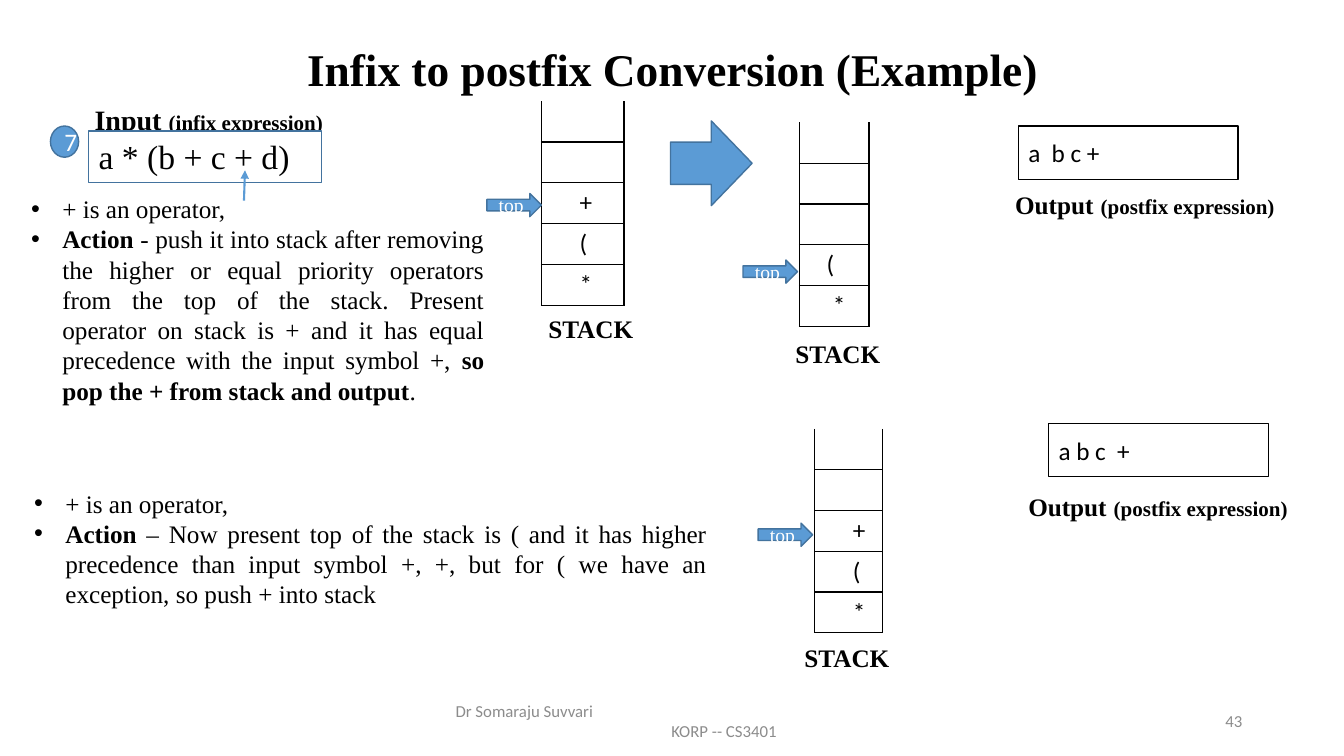
"""Build the infix to postfix conversion slide with its three stacks."""
from dataclasses import dataclass

from lxml.etree import SubElement as Sub
from pptx import Presentation
from pptx.dml.color import RGBColor as Rgb
from pptx.enum.shapes import MSO_CONNECTOR as Link, MSO_SHAPE as Kind
from pptx.enum.text import MSO_ANCHOR as Anchor, MSO_AUTO_SIZE as Auto, PP_ALIGN as Align
from pptx.oxml.ns import qn
from pptx.util import Inches, Pt

HUES = {"ink": "000000", "paper": "FFFFFF", "blue": "5B9BD5", "edge": "43739E", "gray": "8C8C8C"}
SERIF, SANS = "Times New Roman", "Calibri"
ROWS, TALL = 6, 2.43
SIDES = ("lnL", "lnR", "lnT", "lnB")


@dataclass
class Run:
    text: str
    size: float = 18
    bold: bool = False
    font: str = SERIF
    hue: str = "ink"


@dataclass
class Para:
    runs: list[Run]
    align: Align = Align.LEFT
    bullet: bool = False
    indent: float = 0


@dataclass
class Box:
    x: float
    y: float
    w: float
    h: float


@dataclass
class Stack:
    x: float
    y: float
    w: float
    marks: dict[str, float]
    tip: Box
    label: Box


@dataclass
class Result:
    box: Box
    text: str
    label: Box


def place(box: Box) -> tuple:
    """Return the box as four lengths."""
    return Inches(box.x), Inches(box.y), Inches(box.w), Inches(box.h)


def tint(hue: str) -> Rgb:
    """Return a named colour."""
    return Rgb.from_string(HUES[hue])


def style(run, look: Run) -> None:
    """Format one run."""
    run.font.size, run.font.bold, run.font.name = Pt(look.size), look.bold, look.font
    run.font.color.rgb = tint(look.hue)


def write(frame, paras: list[Para]) -> None:
    """Fill a text frame with formatted paragraphs."""
    for i, para in enumerate(paras):
        line = frame.paragraphs[0] if i == 0 else frame.add_paragraph()
        line.alignment = para.align
        for look in para.runs:
            run = line.add_run()
            run.text = look.text
            style(run, look)
        props = line._p.get_or_add_pPr()
        if para.indent:
            props.set("marL", str(Inches(para.indent)))
        if para.bullet:
            props.set("indent", str(-Inches(para.indent)))
            Sub(props, qn("a:buFont"), typeface="Arial")
            Sub(props, qn("a:buChar"), char="•")


def note(slide, box: Box, paras: list[Para], anchor: Anchor = Anchor.TOP) -> None:
    """Add a wrapped text box."""
    frame = slide.shapes.add_textbox(*place(box)).text_frame
    frame.word_wrap, frame.vertical_anchor = True, anchor
    write(frame, paras)


def form(slide, kind: Kind, box: Box, fill: str, edge: str, para: Para | None = None) -> None:
    """Add a filled preset shape."""
    shape = slide.shapes.add_shape(kind, *place(box))
    shape.shadow.inherit = False
    shape.fill.solid()
    shape.fill.fore_color.rgb = tint(fill)
    shape.line.color.rgb, shape.line.width = tint(edge), Pt(1)
    if para:
        shape.text_frame.vertical_anchor = Anchor.MIDDLE
        write(shape.text_frame, [para])


def border(cell, shown: tuple[str, ...]) -> None:
    """Draw the shown sides of a cell and clear the others."""
    props = cell._tc.get_or_add_tcPr()
    for i, side in enumerate(SIDES):
        line = props.makeelement(qn(f"a:{side}"), {"w": str(Pt(1))})
        props.insert(i, line)
        if side in shown:
            Sub(Sub(line, qn("a:solidFill")), qn("a:srgbClr"), val=HUES["ink"])
        else:
            Sub(line, qn("a:noFill"))


def pile(slide, stack: Stack) -> None:
    """Add an open-topped stack with its pointer and label."""
    box = Box(stack.x, stack.y, stack.w, TALL)
    table = slide.shapes.add_table(ROWS, 1, *place(box)).table
    table.first_row = table.horz_banding = False
    marks = list(stack.marks.items())
    for i in range(ROWS):
        table.rows[i].height = Inches(TALL / ROWS)
        cell = table.cell(i, 0)
        cell.fill.background()
        border(cell, () if i == 0 else ("lnL", "lnR", "lnB") if i == 1 else SIDES)
        spot = i - ROWS + len(marks)
        if spot >= 0:
            mark, pad = marks[spot]
            cell.margin_left = Inches(pad)
            write(cell.text_frame, [Para([Run(mark, font=SANS)])])
    form(slide, Kind.RIGHT_ARROW, stack.tip, "blue", "edge",
         Para([Run("top", 14, hue="paper")], Align.CENTER))
    note(slide, stack.label, [Para([Run("STACK", bold=True)])])


def steps(slide, box: Box, runs: list[Run]) -> None:
    """Add the bulleted account of one step."""
    note(slide, box, [Para([Run("+ is an operator,")], bullet=True, indent=0.31),
                      Para([Run("Action", bold=True), *runs], Align.JUSTIFY, True, 0.31)])


def head(slide) -> None:
    """Format the title."""
    title = slide.shapes.title
    title.left, title.top, title.width, title.height = place(Box(0.92, 0.4, 11.5, 0.63))
    frame = title.text_frame
    frame.text = "Infix to postfix Conversion (Example)"
    frame.auto_size, frame.vertical_anchor = Auto.NONE, Anchor.MIDDLE
    line = frame.paragraphs[0]
    line.alignment, line.line_spacing = Align.CENTER, 0.9
    style(line.runs[0], Run("", 32.4, True))


def entry(slide) -> None:
    """Add the input expression with its step number and cursor."""
    note(slide, Box(0.84, 0.97, 2.57, 0.44),
         [Para([Run("Input ", 20, True), Run("(infix expression)", 15, True)])])
    form(slide, Kind.RECTANGLE, Box(0.88, 1.3, 2.31, 0.51), "paper", "edge")
    note(slide, Box(0.88, 1.3, 2.16, 0.5), [Para([Run("a * (b + c + d)", 24)])])
    form(slide, Kind.FLOWCHART_CONNECTOR, Box(0.5, 1.25, 0.28, 0.31), "blue", "edge",
         Para([Run("7", font=SANS, hue="paper")], Align.CENTER))
    arrow = slide.shapes.add_connector(Link.STRAIGHT, Inches(2.42), Inches(1.99), Inches(2.43), Inches(1.69))
    arrow.line.color.rgb, arrow.line.width = tint("blue"), Pt(1.5)
    Sub(arrow.line._get_or_add_ln(), qn("a:tailEnd"), type="triangle")
    Sub(arrow._element.spPr, qn("a:effectLst"))


def main() -> None:
    """Build and save the deck."""
    deck = Presentation()
    deck.slide_width, deck.slide_height = Inches(13.33), Inches(7.5)
    slide = deck.slides.add_slide(deck.slide_layouts[5])
    head(slide)
    entry(slide)
    full = {"+": 0.38, "(": 0.38, "*": 0.38}
    for stack in (
        Stack(5.37, 0.6, 0.82, full, Box(4.83, 1.92, 0.54, 0.23), Box(5.34, 3.06, 1.1, 0.4)),
        Stack(7.93, 0.81, 0.69, {"(": 0.27, "*": 0.33}, Box(7.37, 2.58, 0.54, 0.23), Box(7.79, 3.31, 1.1, 0.4)),
        Stack(8.08, 3.85, 0.67, full, Box(7.52, 5.19, 0.54, 0.23), Box(7.88, 6.32, 1.1, 0.4)),
    ):
        pile(slide, stack)
    form(slide, Kind.RIGHT_ARROW, Box(6.65, 1.2, 0.81, 0.84), "blue", "edge")
    for item in (Result(Box(10.1, 1.25, 2.18, 0.53), "a  b c +", Box(9.97, 1.8, 2.78, 0.44)),
                 Result(Box(10.4, 4.2, 2.18, 0.53), "a b c  +", Box(10.1, 4.8, 2.78, 0.44))):
        form(slide, Kind.RECTANGLE, item.box, "paper", "ink", Para([Run(item.text, font=SANS)]))
        note(slide, item.label, [Para([Run("Output", bold=True), Run(" ", 20, True),
                                       Run("(postfix expression)", 15, True)])])
    steps(slide, Box(0.21, 1.87, 4.69, 2.22), [
        Run(" - push it into stack after removing the higher or equal priority operators from the top of "
            "the stack. Present operator on stack is + and it has equal precedence with the input symbol +, "),
        Run("so pop the + from stack and output", bold=True), Run(".")])
    steps(slide, Box(0.24, 4.79, 6.87, 1.31), [
        Run(" – Now present top of the stack is ( and it has higher precedence than input symbol +, +, "
            "but for ( we have an exception, so push + into stack")])
    small = {"size": 12, "font": SANS, "hue": "gray"}
    note(slide, Box(4.42, 6.95, 4.5, 0.4), [Para([Run("Dr Somaraju Suvvari", **small)]),
         Para([Run("KORP -- CS3401", **small)], indent=2.14)], Anchor.MIDDLE)
    note(slide, Box(9.42, 6.95, 3, 0.4), [Para([Run("43", **small)], Align.RIGHT)], Anchor.MIDDLE)
    deck.save("out.pptx")


if __name__ == "__main__":
    main()
